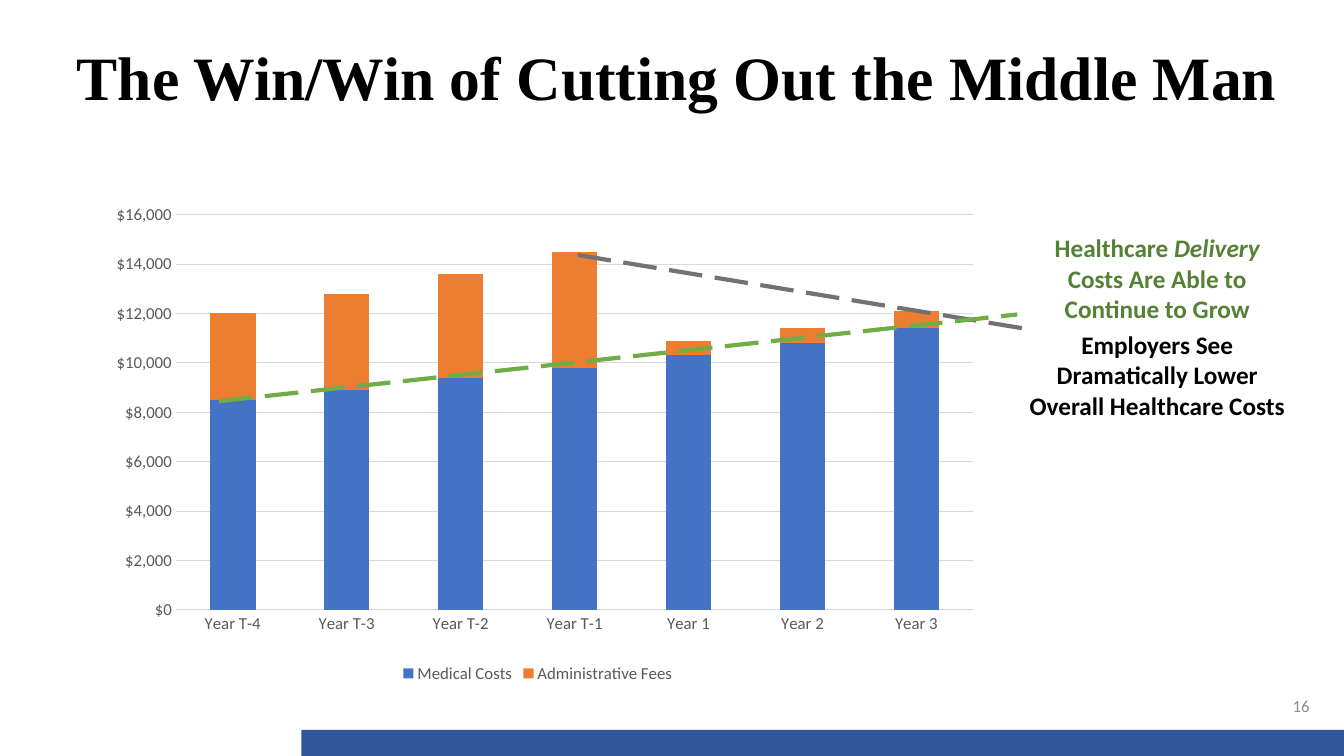
from typing import NamedTuple

from lxml.etree import SubElement
from pptx import Presentation
from pptx.chart.data import CategoryChartData
from pptx.dml.color import RGBColor
from pptx.enum.chart import XL_CHART_TYPE, XL_LEGEND_POSITION, XL_TICK_MARK
from pptx.enum.dml import MSO_LINE
from pptx.enum.shapes import MSO_CONNECTOR, MSO_SHAPE
from pptx.enum.text import MSO_ANCHOR, PP_ALIGN
from pptx.oxml import parse_xml
from pptx.oxml.ns import nsdecls, qn
from pptx.util import Inches, Pt

YEARS = ["Year T-4", "Year T-3", "Year T-2", "Year T-1", "Year 1", "Year 2", "Year 3"]
COSTS = {
    "Medical Costs": ("4472C4", [8500, 8900, 9400, 9800, 10300, 10800, 11400]),
    "Administrative Fees": ("ED7D31", [3500, 3900, 4200, 4700, 600, 600, 700]),
}
# Trend lines: start and end in percent of the chart box
TRENDS = [
    ("767171", (54.44, 11.73), (104.95, 26.95)),
    ("70AD47", (14.4, 41.56), (103.49, 23.87)),
]
LABEL_GRAY = "595959"
GRID_GRAY = "D9D9D9"


class Box(NamedTuple):
    left: int
    top: int
    width: int
    height: int

    def point(self, x, y):
        return int(self.left + self.width * x / 100), int(self.top + self.height * y / 100)

    def inner(self, x, y, width, height):
        """Inner box given in percent of this one."""
        return Box(*self.point(x, y), int(self.width * width / 100), int(self.height * height / 100))


def color(target, hex_value):
    target.rgb = RGBColor.from_string(hex_value)


def fill(target, hex_value):
    target.fill.solid()
    color(target.fill.fore_color, hex_value)


def style_font(font, size, hex_value, name="Calibri", bold=False, italic=False):
    font.name, font.size, font.bold, font.italic = name, Pt(size), bold, italic
    color(font.color, hex_value)


def write(shape, text, align=PP_ALIGN.CENTER, anchor=MSO_ANCHOR.TOP, spacing=None, emphasis=None, **font):
    """Fill a shape with one paragraph; the emphasis word is set in italics."""
    frame = shape.text_frame
    frame.word_wrap = True
    frame.vertical_anchor = anchor
    paragraph = frame.paragraphs[0]
    paragraph.alignment = align
    paragraph.line_spacing = spacing
    pieces = text.partition(emphasis) if emphasis else (text,)
    for piece in pieces:
        run = paragraph.add_run()
        run.text = piece
        style_font(run.font, italic=piece == emphasis, **font)


def add_title(slide, box):
    title = slide.shapes.title
    title.left, title.top, title.width, title.height = box
    write(title, "The Win/Win of Cutting Out the Middle Man", anchor=MSO_ANCHOR.MIDDLE,
          spacing=0.9, size=44, hex_value="000000", name="Times New Roman", bold=True)


def add_footer(slide, box):
    # Slide number above the coloured bar
    number = slide.shapes.add_textbox(*box.inner(75.68, 0, 22.5, 42))
    write(number, "16", align=PP_ALIGN.RIGHT, anchor=MSO_ANCHOR.MIDDLE, size=12, hex_value="8C8C8C")

    bar = slide.shapes.add_shape(MSO_SHAPE.RECTANGLE, *box.inner(22.43, 58.7, 77.57, 41.3))
    bar.shadow.inherit = False
    bar.line.fill.background()
    fill(bar, "254F96")
    fill_color = next(bar._element.spPr.iter(qn("a:srgbClr")))
    SubElement(fill_color, qn("a:alpha"), val="95000")


def set_plot_area(chart, x, y, w, h):
    """Fix the inner plot area, in shares of the chart."""
    plot_area = next(chart._chartSpace.iter(qn("c:plotArea")))
    for layout in plot_area.findall(qn("c:layout")):
        plot_area.remove(layout)
    edges = "".join(f'<c:{edge}Mode val="edge"/>' for edge in "xy")
    sizes = "".join(f'<c:{key} val="{value}"/>' for key, value in zip("xywh", (x, y, w, h)))
    plot_area.insert(0, parse_xml(
        f'<c:layout {nsdecls("c")}><c:manualLayout><c:layoutTarget val="inner"/>'
        f'{edges}{sizes}</c:manualLayout></c:layout>'))


def add_cost_chart(slide, box):
    data = CategoryChartData()
    data.categories = YEARS
    for name, (_, values) in COSTS.items():
        data.add_series(name, values)
    chart = slide.shapes.add_chart(XL_CHART_TYPE.COLUMN_STACKED, *box, data).chart
    style_font(chart.font, 12, LABEL_GRAY)
    chart.has_title = False
    set_plot_area(chart, 0.096, 0.035, 0.89, 0.807)

    # Columns
    plot = chart.plots[0]
    plot.gap_width, plot.overlap, plot.vary_by_categories = 150, 100, False
    for series in plot.series:
        fill(series.format, COSTS[series.name][0])

    # Axes and gridlines
    years, dollars = chart.category_axis, chart.value_axis
    for axis in (years, dollars):
        axis.major_tick_mark = axis.minor_tick_mark = XL_TICK_MARK.NONE
        style_font(axis.tick_labels.font, 12, LABEL_GRAY)
    dollars.minimum_scale, dollars.maximum_scale, dollars.major_unit = 0, 16000, 2000
    dollars.tick_labels.number_format = '"$"#,##0'
    dollars.tick_labels.number_format_is_linked = False
    dollars.format.line.fill.background()
    for line in (years.format.line, dollars.major_gridlines.format.line):
        line.width = Pt(0.75)
        color(line.color, GRID_GRAY)

    # Legend
    chart.has_legend = True
    chart.legend.position = XL_LEGEND_POSITION.BOTTOM
    chart.legend.include_in_layout = False
    style_font(chart.legend.font, 12, LABEL_GRAY)


def add_trend_lines(slide, box):
    for hex_value, start, end in TRENDS:
        trend = slide.shapes.add_connector(MSO_CONNECTOR.STRAIGHT, *box.point(*start), *box.point(*end))
        trend.line.width = Pt(3)
        trend.line.dash_style = MSO_LINE.LONG_DASH
        color(trend.line.color, hex_value)
        SubElement(trend._element.spPr, qn("a:effectLst"))


def add_callouts(slide, box):
    employers = slide.shapes.add_textbox(*box.inner(0, 48.73, 100, 51.27))
    write(employers, "Employers See Dramatically Lower Overall Healthcare Costs",
          size=18, hex_value="000000", bold=True)
    delivery = slide.shapes.add_textbox(*box.inner(0, 0, 100, 51.27))
    write(delivery, "Healthcare Delivery Costs Are Able to Continue to Grow",
          emphasis="Delivery", size=18, hex_value="548235", bold=True)


def main():
    presentation = Presentation()
    presentation.slide_width, presentation.slide_height = Inches(13.33), Inches(7.5)
    page = Box(0, 0, presentation.slide_width, presentation.slide_height)
    slide = presentation.slides.add_slide(presentation.slide_layouts[5])

    chart_box = page.inner(6.68, 26.13, 66.68, 64.8)
    add_title(slide, page.inner(2.62, 0.93, 95.55, 19.33))
    add_footer(slide, page.inner(0, 91.6, 100, 8.4))
    add_cost_chart(slide, chart_box)
    add_trend_lines(slide, chart_box)
    add_callouts(slide, page.inner(75.68, 30.13, 20.85, 26.27))
    presentation.save("out.pptx")


if __name__ == "__main__":
    main()
